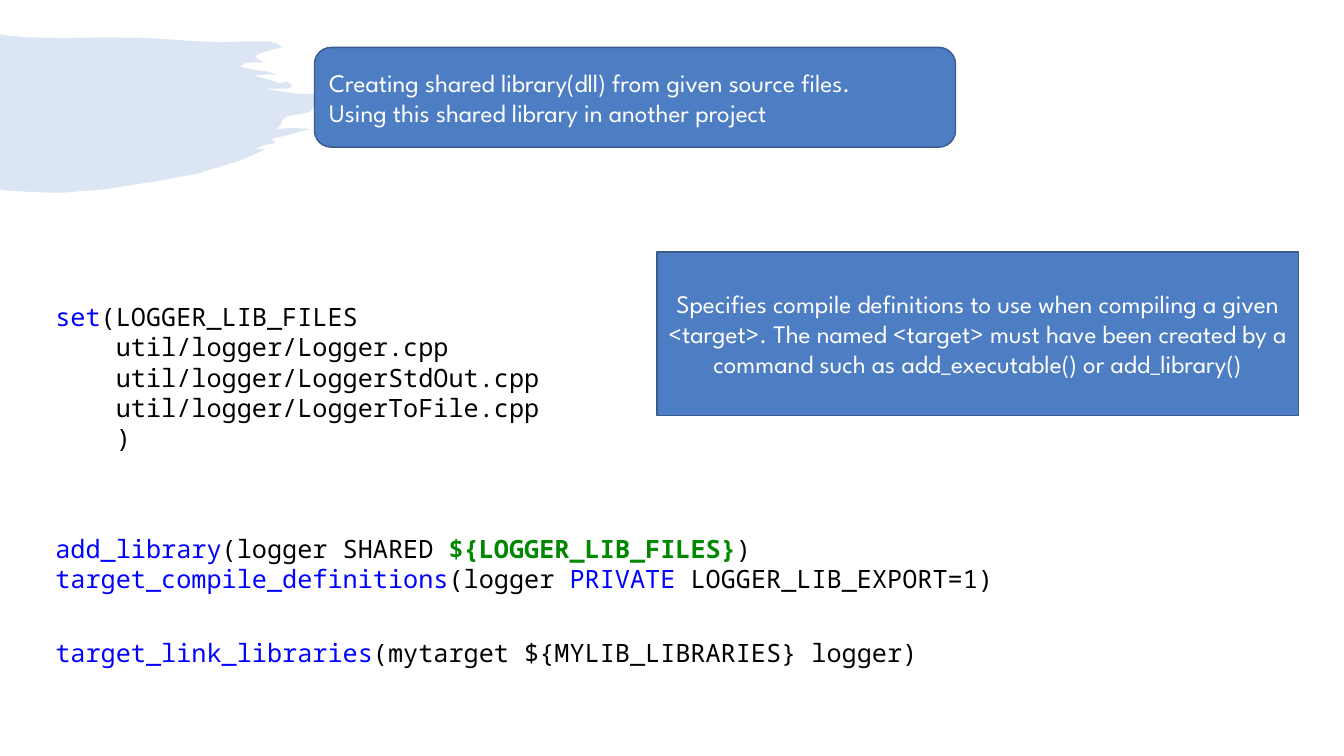
from dataclasses import dataclass
from lxml.etree import SubElement
from pptx import Presentation
from pptx.dml.color import RGBColor
from pptx.enum.shapes import MSO_SHAPE
from pptx.enum.text import MSO_ANCHOR, PP_ALIGN
from pptx.oxml.ns import qn
from pptx.util import Inches, Pt


@dataclass
class Theme:
    blue: str = "4D7DC3"
    edge: str = "395C90"
    white: str = "FFFFFF"
    black: str = "000000"
    key: str = "0000FF"
    green: str = "008800"
    sans: str = "League Spartan"
    mono: str = "Noto Sans Mono"
    size: int = 18


look = Theme()
deck = Presentation()
deck.slide_width, deck.slide_height = Inches(13.33), Inches(7.5)
col, row = deck.slide_width / 100, deck.slide_height / 100
slide = deck.slides.add_slide(deck.slide_layouts[6])


def grid(left, top, wide, high):
    return [int(n) for n in (left * col, top * row, wide * col, high * row)]


def write(frame, lines, font, align=PP_ALIGN.LEFT, anchor=MSO_ANCHOR.TOP):
    """Each line is an indent in inches, then (text, colour) pairs."""
    frame.word_wrap = True
    frame.vertical_anchor = anchor
    for i, (indent, *parts) in enumerate(lines):
        para = frame.paragraphs[0] if i == 0 else frame.add_paragraph()
        para.alignment = align
        if indent:
            para._p.get_or_add_pPr().set("marL", str(Inches(indent)))
        for text, color in parts:
            run = para.add_run()
            run.text = text
            run.font.name, run.font.size = font, Pt(look.size)
            run.font.color.rgb = RGBColor.from_string(color)
            run.font.bold = color == look.green


# Brush stroke, outlined in hundredths of an inch
brush = [
    (0, 34), (6, 35), (25, 37), (66, 38), (102, 37), (151, 38), (194, 41),
    (221, 42), (248, 41), (266, 41), (274, 43), (280, 47), (271, 49), (255, 54),
    (253, 57), (256, 59), (262, 62), (250, 62), (243, 63), (238, 66), (246, 68),
    (256, 70), (266, 71), (275, 74), (263, 74), (251, 75), (263, 78), (273, 81),
    (276, 83), (280, 82), (284, 81), (288, 83), (290, 85), (287, 88), (284, 88),
    (274, 88), (263, 88), (280, 91), (296, 93), (330, 94), (325, 96), (321, 97),
    (322, 102), (318, 106), (311, 107), (307, 111), (300, 113), (291, 114),
    (283, 116), (280, 120), (278, 125), (274, 128), (291, 127), (308, 128),
    (289, 133), (269, 138), (273, 142), (262, 144), (252, 148), (258, 148),
    (263, 148), (242, 158), (197, 172), (154, 180), (102, 188), (65, 191),
    (44, 191), (23, 190), (7, 189), (0, 188),
]
pen = slide.shapes.build_freeform(*brush[0], scale=Inches(0.01))
pen.add_line_segments(brush[1:], close=True)
stroke = pen.convert_to_shape()
stroke.shadow.inherit = False
stroke.line.fill.background()
stroke.fill.solid()
stroke.fill.fore_color.rgb = RGBColor.from_string(look.blue)
tint = stroke._element.spPr.find(".//" + qn("a:srgbClr"))
SubElement(tint, qn("a:alpha"), val="20000")

# Code blocks
tab = 0.6
codes = [
    (39.2, 38.78, 21.6, [
        (0, ("set", look.key), ("(LOGGER_LIB_FILES", look.black)),
        *[(tab, (text, look.black)) for text in (
            "util/logger/Logger.cpp", "util/logger/LoggerStdOut.cpp",
            "util/logger/LoggerToFile.cpp", ")")],
    ]),
    (69.87, 72.15, 9.47, [
        (0, ("add_library", look.key), ("(logger SHARED ", look.black),
         ("${LOGGER_LIB_FILES}", look.green), (")", look.black)),
        (0, ("target_compile_definitions", look.key), ("(logger ", look.black),
         ("PRIVATE", look.key), (" LOGGER_LIB_EXPORT=1)", look.black)),
    ]),
    (83.6, 83.03, 5.33, [
        (0, ("target_link_libraries", look.key),
         ("(mytarget ${MYLIB_LIBRARIES} logger)", look.black)),
    ]),
]
for top, wide, high, lines in codes:
    box = slide.shapes.add_textbox(*grid(3.38, top, wide, high))
    write(box.text_frame, lines, look.mono)

# Blue panels: the note and the heading
panels = [
    (MSO_SHAPE.RECTANGLE, (48.9, 33.33, 47.7, 21.6), PP_ALIGN.CENTER, [
        "Specifies compile definitions to use when compiling a given <target>. "
        "The named <target> must have been created by a command such as "
        "add_executable() or add_library()"]),
    (MSO_SHAPE.ROUNDED_RECTANGLE, (23.4, 6.27, 47.7, 13.2), PP_ALIGN.LEFT, [
        "Creating shared library(dll) from given source files.",
        "Using this shared library in another project"]),
]
for kind, place, align, texts in panels:
    panel = slide.shapes.add_shape(kind, *grid(*place))
    panel.shadow.inherit = False
    panel.fill.solid()
    panel.fill.fore_color.rgb = RGBColor.from_string(look.blue)
    panel.line.color.rgb = RGBColor.from_string(look.edge)
    panel.line.width = Pt(1)
    write(panel.text_frame, [(0, (text, look.white)) for text in texts],
          look.sans, align=align, anchor=MSO_ANCHOR.MIDDLE)

deck.save("out.pptx")
